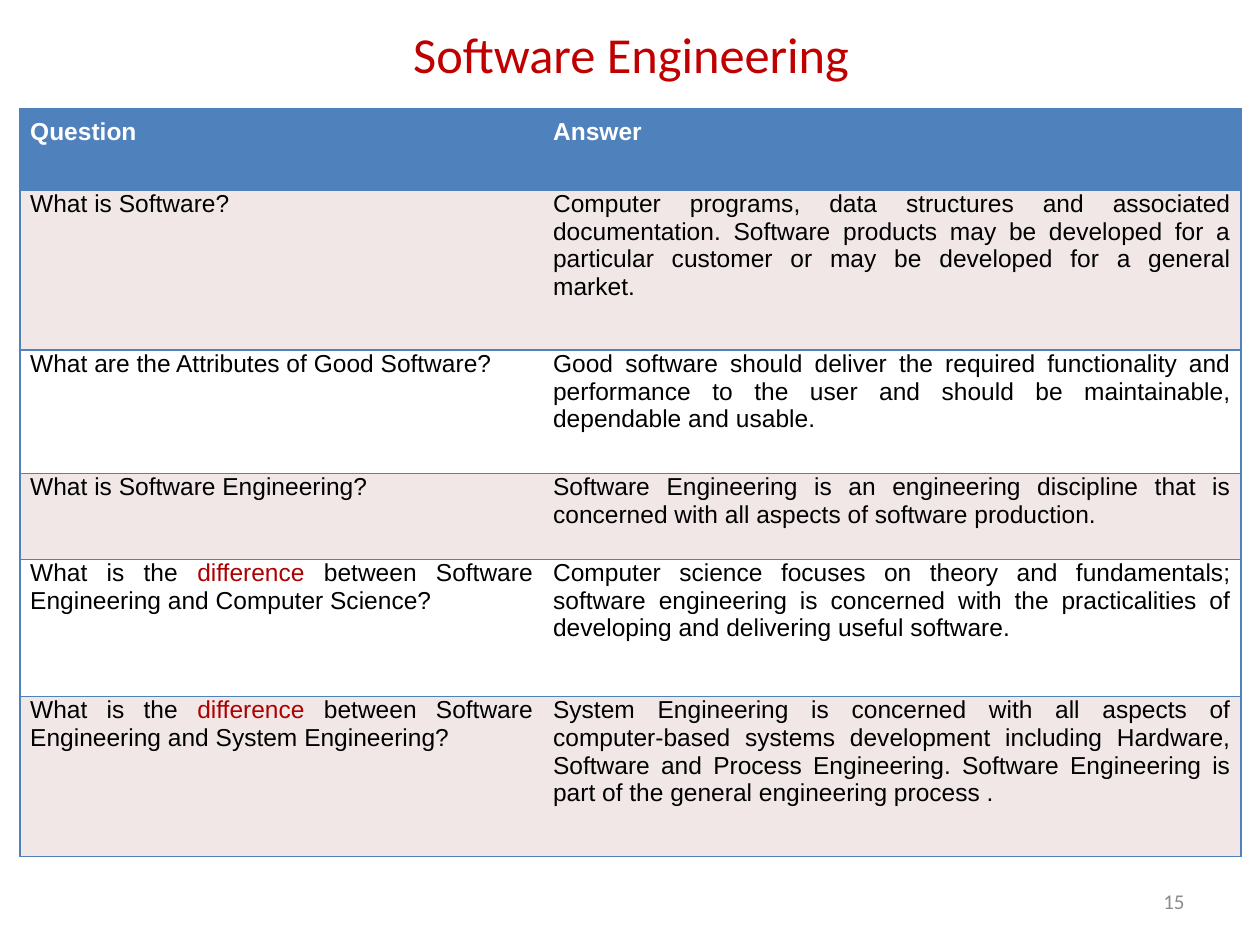
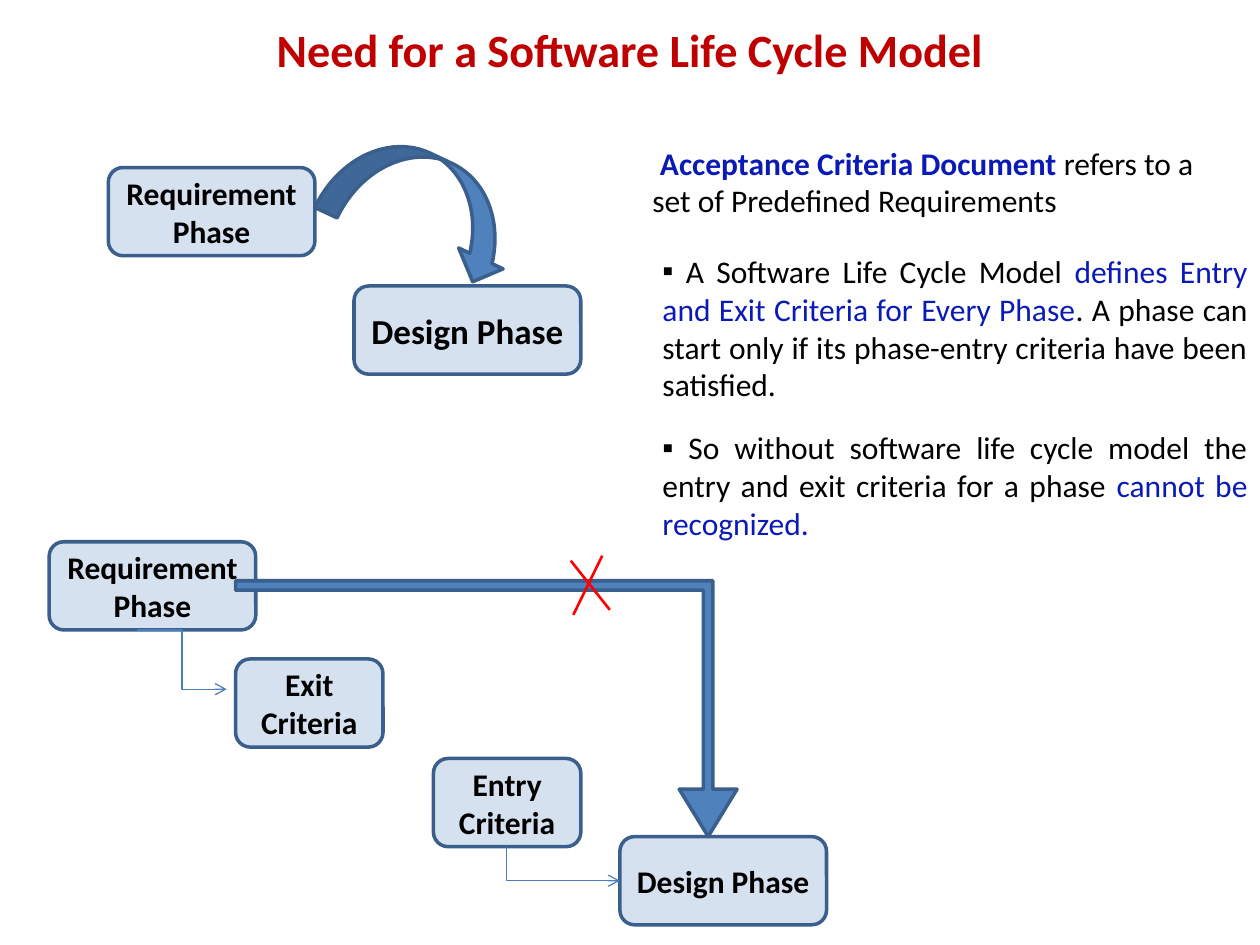
from dataclasses import dataclass
from typing import NamedTuple, Optional, Sequence

from lxml import etree
from pptx import Presentation
from pptx import util as u
from pptx.dml.color import RGBColor
from pptx.enum import shapes, text
from pptx.oxml import ns


# Theme shared by the slides
@dataclass(frozen=True)
class Theme:
    black: str = "000000"
    white: str = "FFFFFF"
    title: str = "C00000"
    accent: str = "4F81BD"
    outline: str = "3A5F8C"
    elbow: str = "4B7EBC"
    band: str = "F1E7E7"
    highlight: str = "AD0101"
    emphasis: str = "0A1AB6"
    cross: str = "FF0000"
    number: str = "8C8C8C"
    font: str = "Calibri"
    table_font: str = "Arial"
    question_title_size: float = 28.8
    model_title_size: float = 26.4
    body_size: float = 18
    phase_size: float = 20
    table_size: float = 14
    number_size: float = 12
    box_opacity: int = 23


THEME = Theme()


class Span(NamedTuple):
    words: str
    color: Optional[str] = None
    bold: Optional[bool] = None


class Phase(NamedTuple):
    label: str
    left: float
    top: float
    width: float = 1.64
    size: float = THEME.body_size


class Entry(NamedTuple):
    question: Sequence[Span]
    answer: str
    height: float


class Point(NamedTuple):
    x: float
    y: float


# Text helpers
def style(paragraph, size: float, color: str = THEME.black, bold: bool = False,
          font: str = THEME.font, align=text.PP_ALIGN.LEFT) -> None:
    paragraph.alignment = align
    paragraph.font.name = font
    paragraph.font.size = u.Pt(size)
    paragraph.font.bold = bold
    paragraph.font.color.rgb = RGBColor.from_string(color)


def add_spans(paragraph, spans: Sequence[Span]) -> None:
    for span in spans:
        run = paragraph.add_run()
        run.text = span.words
        if span.color:
            run.font.color.rgb = RGBColor.from_string(span.color)
        if span.bold is not None:
            run.font.bold = span.bold


def add_text_box(slide, left: float, top: float, width: float, height: float):
    frame = slide.shapes.add_textbox(*map(u.Inches, (left, top, width, height))).text_frame
    frame.word_wrap = True
    return frame


def add_titled_slide(prs, words: str, box: Sequence[float], size: float, bold: bool = False):
    slide = prs.slides.add_slide(prs.slide_layouts[5])
    title = slide.shapes.title
    title.left, title.top, title.width, title.height = map(u.Inches, box)
    frame = title.text_frame
    frame.text = words
    frame.auto_size = text.MSO_AUTO_SIZE.NONE
    frame.vertical_anchor = text.MSO_ANCHOR.MIDDLE
    style(frame.paragraphs[0], size, THEME.title, bold, align=text.PP_ALIGN.CENTER)
    return slide


# Table helpers
def set_borders(cell, open_side: str) -> None:
    properties = cell._tc.get_or_add_tcPr()
    for side in "LRTB":
        line = etree.SubElement(properties, ns.qn(f"a:ln{side}"), w=str(u.Pt(1)))
        if side == open_side:
            etree.SubElement(line, ns.qn("a:noFill"))
        else:
            fill = etree.SubElement(line, ns.qn("a:solidFill"))
            etree.SubElement(fill, ns.qn("a:srgbClr"), val=THEME.accent)


def fill_cell(cell, spans: Sequence[Span], fill: str, open_side: str, header: bool) -> None:
    set_borders(cell, open_side)
    cell.fill.solid()
    cell.fill.fore_color.rgb = RGBColor.from_string(fill)
    cell.margin_left = cell.margin_right = cell.margin_bottom = u.Inches(0.08)
    cell.margin_top = u.Inches(0.08 if header else 0)
    paragraph = cell.text_frame.paragraphs[0]
    style(paragraph, THEME.table_size, THEME.white if header else THEME.black, header,
          THEME.table_font, text.PP_ALIGN.JUSTIFY)
    add_spans(paragraph, spans)


# Diagram helpers
def add_block(slide, kind, left: float, top: float, width: float, height: float):
    block = slide.shapes.add_shape(kind, *map(u.Inches, (left, top, width, height)))
    block.shadow.inherit = False
    block.fill.solid()
    block.fill.fore_color.rgb = RGBColor.from_string(THEME.accent)
    block.line.color.rgb = RGBColor.from_string(THEME.outline)
    block.line.width = u.Pt(2)
    return block


def add_phase(slide, phase: Phase) -> None:
    box = add_block(slide, shapes.MSO_SHAPE.ROUNDED_RECTANGLE,
                    phase.left, phase.top, phase.width, 0.7)
    color = box.element.spPr.find(ns.qn("a:solidFill")).find(ns.qn("a:srgbClr"))
    etree.SubElement(color, ns.qn("a:alpha"), val=str(THEME.box_opacity * 1000))
    frame = box.text_frame
    frame.word_wrap = True
    frame.vertical_anchor = text.MSO_ANCHOR.MIDDLE
    frame.text = phase.label
    style(frame.paragraphs[0], phase.size, bold=True, align=text.PP_ALIGN.CENTER)


def add_line(slide, kind, start: Point, end: Point, color: str, width: float,
             arrow: bool = False):
    line = slide.shapes.add_connector(kind, *map(u.Inches, (*start, *end)))
    line.line.color.rgb = RGBColor.from_string(color)
    line.line.width = u.Pt(width)
    if arrow:
        etree.SubElement(line.line._get_or_add_ln(), ns.qn("a:tailEnd"), type="arrow")
    etree.SubElement(line.element.spPr, ns.qn("a:effectLst"))
    return line


def turn_down_then_right(line, start: Point, end: Point) -> None:
    """Give an elbow a single corner below its start."""
    run, drop = end.x - start.x, end.y - start.y
    middle = Point((start.x + end.x) / 2, (start.y + end.y) / 2)
    line.left, line.top = u.Inches(middle.x - drop / 2), u.Inches(middle.y - run / 2)
    line.width, line.height = u.Inches(drop), u.Inches(run)
    properties = line.element.spPr
    properties.find(ns.qn("a:prstGeom")).set("prst", "bentConnector2")
    frame = properties.find(ns.qn("a:xfrm"))
    frame.set("rot", str(270 * 60000))
    frame.set("flipH", "1")


# Questions and answers
def comparison(subject: str) -> list[Span]:
    return [Span("What is the "), Span("difference", THEME.highlight),
            Span(f" between Software Engineering and {subject}?")]


ENTRIES = [
    Entry([Span("Question")], "Answer", 0.65),
    Entry([Span("What is Software?")],
          "Computer programs, data structures and associated documentation. Software products "
          "may be developed for a particular customer or may be developed for a general market.",
          1.27),
    Entry([Span("What are the Attributes of Good Software?")],
          "Good software should deliver the required functionality and performance to the user "
          "and should be maintainable, dependable and usable.", 0.98),
    Entry([Span("What is Software Engineering?")],
          "Software Engineering is an engineering discipline that is concerned with all aspects "
          "of software production.", 0.68),
    Entry(comparison("Computer Science"),
          "Computer science focuses on theory and fundamentals; software engineering is concerned "
          "with the practicalities of developing and delivering useful software.", 1.09),
    Entry(comparison("System Engineering"),
          "System Engineering is concerned with all aspects of computer-based systems development "
          "including Hardware, Software and Process Engineering. Software Engineering is part of "
          "the general engineering process .", 1.27),
]


def build_questions(prs) -> None:
    slide = add_titled_slide(prs, "Software Engineering", (0.47, 0.16, 9.08, 0.52),
                             THEME.question_title_size)
    # Question table
    questions = slide.shapes.add_table(
        len(ENTRIES), 2, *map(u.Inches, (0.16, 0.86, 9.69, 5.94))).table
    questions.horz_banding = False
    for column, width in zip(questions.columns, (4.15, 5.54)):
        column.width = u.Inches(width)
    for index, entry in enumerate(ENTRIES):
        questions.rows[index].height = u.Inches(entry.height)
        header = index == 0
        fill = THEME.accent if header else (THEME.white, THEME.band)[index % 2]
        fill_cell(questions.cell(index, 0), entry.question, fill, "R", header)
        fill_cell(questions.cell(index, 1), [Span(entry.answer)], fill, "L", header)
    # Slide number
    footer = add_text_box(slide, 7.17, 6.95, 2.33, 0.4)
    footer.vertical_anchor = text.MSO_ANCHOR.MIDDLE
    footer.text = "15"
    style(footer.paragraphs[0], THEME.number_size, THEME.number, align=text.PP_ALIGN.RIGHT)


# Life cycle model
PHASES = [
    Phase("Requirement Phase", 0.39, 4.3),
    Phase("Design Phase", 2.81, 2.27, 1.8, THEME.phase_size),
    Phase("Requirement Phase", 0.86, 1.33),
    Phase("Design Phase", 4.92, 6.64),
    Phase("Exit Criteria", 1.87, 5.23, 1.17),
    Phase("Entry Criteria", 3.44, 6.02, 1.17),
]
CROSS = [(Point(4.53, 4.45), Point(4.84, 4.84)), (Point(4.55, 4.88), Point(4.78, 4.41))]
CRITERIA = [
    [Span(" A Software Life Cycle Model "),
     Span("defines Entry and Exit Criteria for Every Phase", THEME.emphasis),
     Span(". A phase can start only if its phase-entry criteria have been satisfied.")],
    [Span(" So without software life cycle model the entry and exit criteria for a phase "),
     Span("cannot be recognized.", THEME.emphasis)],
]


def build_life_cycle(prs) -> None:
    slide = add_titled_slide(prs, "Need for a Software Life Cycle Model", (0.5, 0.2, 9, 0.46),
                             THEME.model_title_size, bold=True)
    slide.shapes.title.text_frame.paragraphs[0].line_spacing = 0.8
    # Phases and the direct step between them
    for phase in PHASES:
        add_phase(slide, phase)
    step = add_block(slide, shapes.MSO_SHAPE.CURVED_DOWN_ARROW, 2.59, 1.24, 1.58, 0.78)
    step.rotation = 25.2
    # Links to the criteria
    elbow = shapes.MSO_CONNECTOR.ELBOW
    add_line(slide, elbow, Point(1.09, 5), Point(1.8, 5.47), THEME.elbow, 0.75, arrow=True)
    entry_base, design_side = Point(4.02, 6.72), Point(4.92, 6.99)
    entry_link = add_line(slide, elbow, entry_base, design_side, THEME.elbow, 0.75, arrow=True)
    turn_down_then_right(entry_link, entry_base, design_side)
    # Crossed-out shortcut
    shortcut = add_block(slide, shapes.MSO_SHAPE.BENT_UP_ARROW, 1.87, 4.61, 3.98, 2.03)
    shortcut.element.spPr.find(ns.qn("a:xfrm")).set("flipV", "1")
    for index, ratio in enumerate((0.037, 0.113, 0.185)):
        shortcut.adjustments[index] = ratio
    for start, end in CROSS:
        add_line(slide, shapes.MSO_CONNECTOR.STRAIGHT, start, end, THEME.cross, 1.5)
    # Acceptance criteria
    acceptance = add_text_box(slide, 5.08, 1.09, 4.77, 0.71).paragraphs[0]
    acceptance._p.get_or_add_pPr().set("indent", str(u.Inches(0.06)))
    style(acceptance, THEME.body_size)
    add_spans(acceptance, [Span("Acceptance Criteria Document ", THEME.emphasis, True),
                           Span("refers to a set of Predefined Requirements")])
    # Entry and exit criteria
    criteria = add_text_box(slide, 5.16, 1.95, 4.84, 2.42)
    for index, spans in enumerate(CRITERIA):
        paragraph = criteria.add_paragraph() if index else criteria.paragraphs[0]
        if index:
            paragraph.space_before = u.Pt(14.5)
        properties = paragraph._p.get_or_add_pPr()
        etree.SubElement(properties, ns.qn("a:buFont"), typeface=THEME.table_font)
        etree.SubElement(properties, ns.qn("a:buChar"), char="▪")
        style(paragraph, THEME.body_size, align=text.PP_ALIGN.JUSTIFY)
        add_spans(paragraph, spans)


def main() -> None:
    prs = Presentation()
    prs.slide_width, prs.slide_height = u.Inches(10), u.Inches(7.5)
    build_questions(prs)
    build_life_cycle(prs)
    prs.save("out.pptx")


if __name__ == "__main__":
    main()
